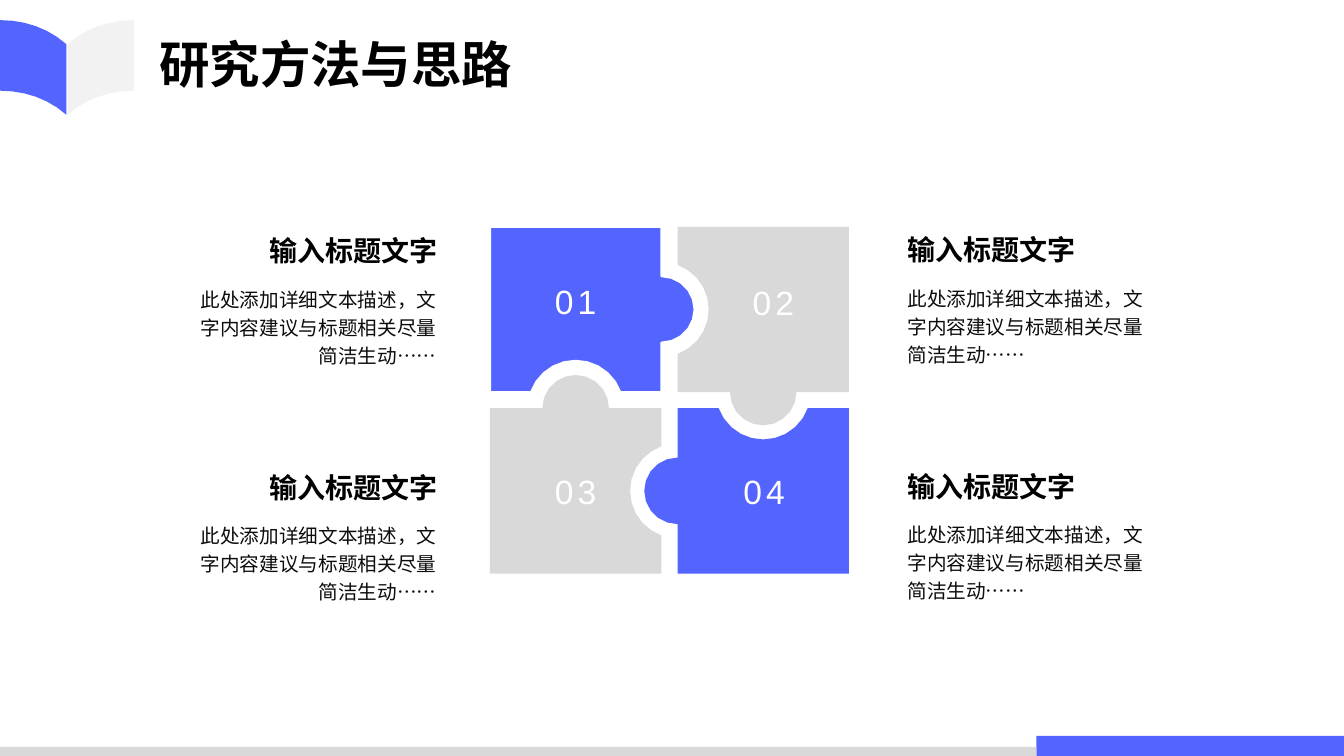
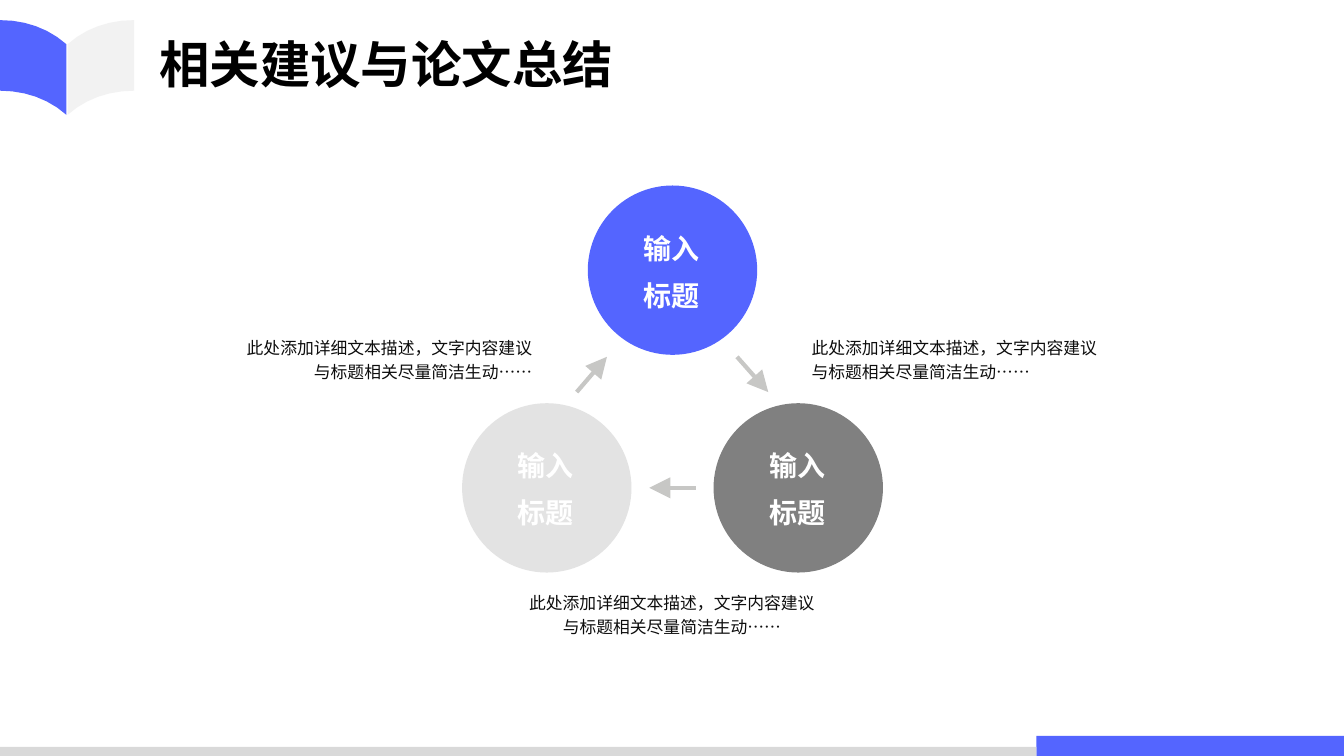
from math import acos, cos, radians, sin, pi

from lxml.etree import SubElement
from pptx import Presentation
from pptx.dml.color import RGBColor
from pptx.enum.shapes import MSO_CONNECTOR, MSO_SHAPE
from pptx.enum.text import MSO_ANCHOR, MSO_AUTO_SIZE, PP_ALIGN
from pptx.oxml.ns import qn
from pptx.util import Inches, Pt

WIDTH, HEIGHT = 13.33, 7.5
COLOURS = {
    "blue": "5465FF", "silver": "D9D9D9", "pale": "F2F2F2", "grey": "808080",
    "arrow": "C7C7C5", "black": "000000", "ink": "0D0D0D", "white": "FFFFFF",
}
LATIN, CHINESE = "Arial", "Noto Sans CJK SC"
LEFT, CENTER, RIGHT = PP_ALIGN.LEFT, PP_ALIGN.CENTER, PP_ALIGN.RIGHT

HEADING = "输入标题文字"
DESCRIPTION = "此处添加详细文本描述，文字内容建议与标题相关尽量简洁生动……"

# Puzzle: column, row, fill, tab side, socket side
PIECES = [
    (1, 0, "silver", "bottom", "left"),
    (1, 1, "blue", "left", "top"),
    (0, 1, "silver", "top", "right"),
    (0, 0, "blue", "right", "bottom"),
]
NUMBERS = [("01", 5.71, 2.99), ("02", 7.67, 3), ("03", 5.71, 4.87), ("04", 7.58, 4.87)]
PUZZLE_LEFT, PUZZLE_TOP = 4.86, 2.25
PIECE_WIDTH, PIECE_HEIGHT, PIECE_GAP = 1.7, 1.64, 0.16
TAB_RADIUS, SOCKET_RADIUS = 0.33, 0.47
SIDES = ["top", "right", "bottom", "left"]

# Notes beside the puzzle: heading left, description left, alignment, first top
NOTE_COLUMNS = [(1.94, 1.93, RIGHT, 2.19), (9, 9, LEFT, 2.18)]
NOTE_WIDTH, HEADING_STEP, DESCRIPTION_STEP = 2.4, 2.35, 2.34

# Cycle: fill, opacity in percent, angle on the ring
CYCLE_LABEL = "输入\n标题"
CYCLE = [("blue", 100, -90), ("grey", 100, 30), ("silver", 73, 150)]
RING_CENTER, RING_RADIUS, CIRCLE_RADIUS = (6.67, 4.12), 1.44, 0.84
ARROWS = [(5.72, 3.89, 6.02, 3.54), (7.31, 3.54, 7.62, 3.89), (6.9, 4.84, 6.44, 4.84)]
CAPTION_WIDTH = 3.2
CAPTIONS = [
    (WIDTH - 7.92 - CAPTION_WIDTH, 3.24, RIGHT),
    (7.92, 3.24, LEFT),
    ((WIDTH - CAPTION_WIDTH) / 2, 5.77, CENTER),
]


def rgb(name):
    return RGBColor.from_string(COLOURS[name])


def paint(shape, fill):
    shape.shadow.inherit = False
    shape.fill.solid()
    shape.fill.fore_color.rgb = rgb(fill)
    shape.line.fill.background()
    return shape


def style_text(frame, size, colour, align=LEFT, bold=False, spacing=1.0, latin=LATIN, tracking=0):
    for para in frame.paragraphs:
        para.alignment = align
        para.line_spacing = spacing
        for span in para.runs:
            span.font.size = Pt(size)
            span.font.bold = bold
            span.font.color.rgb = rgb(colour)
            span.font.name = latin
            properties = span.font.fill._xPr
            SubElement(properties, qn("a:ea")).set("typeface", CHINESE)
            if tracking:
                properties.set("spc", str(tracking * 100))


def set_margins(frame, across=0, down=0):
    frame.margin_left = frame.margin_right = Inches(across)
    frame.margin_top = frame.margin_bottom = Inches(down)


def add_text(page, text, at, anchor=MSO_ANCHOR.TOP, margins=(0, 0), **style):
    box = page.shapes.add_textbox(*map(Inches, at))
    frame = box.text_frame
    frame.word_wrap = True
    frame.vertical_anchor = anchor
    set_margins(frame, *margins)
    frame.text = text
    style_text(frame, **style)


def add_outline(page, points, fill):
    points = [(Inches(x), Inches(y)) for x, y in points]
    builder = page.shapes.build_freeform(*points[0])
    builder.add_line_segments(points[1:], close=True)
    return paint(builder.convert_to_shape(), fill)


def add_preset(page, kind, at, fill):
    return paint(page.shapes.add_shape(kind, *map(Inches, at)), fill)


def curve(a, b, c, d, steps=6):
    """Points along the cubic curve from a to d, steered by b and c."""
    shares = [i / steps for i in range(steps + 1)]
    return [
        tuple((1 - t) ** 3 * p + 3 * (1 - t) ** 2 * t * q + 3 * (1 - t) * t * t * r + t ** 3 * s
              for p, q, r, s in zip(a, b, c, d))
        for t in shares
    ]


def arc(x, y, radius, start, end, steps=10):
    angles = [start + (end - start) * i / steps for i in range(steps + 1)]
    return [(x + radius * cos(angle), y + radius * sin(angle)) for angle in angles]


def piece_outline(left, top, tab, socket):
    """Walk clockwise round a piece, with a tab on one side and a socket on another."""
    right, bottom = left + PIECE_WIDTH, top + PIECE_HEIGHT
    corners = [(left, top), (right, top), (right, bottom), (left, bottom)]
    points = []
    for index, side in enumerate(SIDES):
        (x1, y1), (x2, y2) = corners[index], corners[(index + 1) % 4]
        x, y = (x1 + x2) / 2, (y1 + y2) / 2
        outward = (index - 1) * pi / 2
        points.append((x1, y1))
        if side == tab:
            points += arc(x, y, TAB_RADIUS, outward - pi / 2, outward + pi / 2)
        elif side == socket:
            spread = acos(PIECE_GAP / SOCKET_RADIUS)
            inward = outward + pi
            points += arc(x + PIECE_GAP * cos(outward), y + PIECE_GAP * sin(outward),
                          SOCKET_RADIUS, inward + spread, inward - spread)
    return points


def prepare_layout(deck):
    """Leave only the title on the shared layout and set its place."""
    layout = deck.slide_layouts[5]
    for holder in list(layout.placeholders):
        if holder.placeholder_format.idx:
            holder.element.getparent().remove(holder.element)
    title = layout.placeholders[0]
    title.left, title.top, title.width, title.height = map(Inches, (1.58, 0.42, 4.71, 0.42))
    frame = title.text_frame
    frame.word_wrap = True
    frame.auto_size = MSO_AUTO_SIZE.NONE
    frame.vertical_anchor = MSO_ANCHOR.MIDDLE
    set_margins(frame, 0, 0.05)
    return layout


def move_to_layout(shapes, layout):
    for index, shape in enumerate(shapes):
        layout.shapes.element.insert(2 + index, shape.element)


def draw_shared_parts(page):
    upper = curve((0, 0.2), (0.25, 0.2), (0.48, 0.28), (0.66, 0.44))
    left_page = upper + [(x, y + 0.7) for x, y in reversed(upper)]
    right_page = [(1.33 - x, y) for x, y in left_page]
    split = 10.28
    return [
        add_outline(page, right_page, "pale"),
        add_outline(page, left_page, "blue"),
        add_preset(page, MSO_SHAPE.RECTANGLE, (split, HEIGHT - 0.2, WIDTH - split, 0.2), "blue"),
        add_preset(page, MSO_SHAPE.RECTANGLE, (0, HEIGHT - 0.09, split, 0.09), "silver"),
    ]


def add_page(deck, layout, title):
    page = deck.slides.add_slide(layout)
    frame = page.shapes.title.text_frame
    frame.text = title
    style_text(frame, 36, "black", bold=True, latin=CHINESE)
    return page


def draw_puzzle(page):
    for column, row, fill, tab, socket in PIECES:
        left = PUZZLE_LEFT + column * (PIECE_WIDTH + PIECE_GAP)
        top = PUZZLE_TOP + row * (PIECE_HEIGHT + PIECE_GAP)
        piece = add_outline(page, piece_outline(left, top, tab, socket), fill)
    piece.line.color.rgb = rgb("white")
    piece.line.width = Pt(1.5)
    for number, x, y in NUMBERS:
        add_text(page, number, (x - 0.5, y - 0.35, 1, 0.7), MSO_ANCHOR.MIDDLE,
                 size=24, colour="white", align=CENTER, tracking=3)


def draw_notes(page):
    for heading_left, description_left, align, top in NOTE_COLUMNS:
        for row in range(2):
            add_text(page, HEADING, (heading_left, top + row * HEADING_STEP, NOTE_WIDTH, 0.46),
                     MSO_ANCHOR.BOTTOM, size=20, colour="black", align=align, bold=True)
            add_text(page, DESCRIPTION,
                     (description_left, top + 0.62 + row * DESCRIPTION_STEP, NOTE_WIDTH, 0.89),
                     size=14, colour="ink", align=align, spacing=1.2)


def draw_cycle(page):
    centers = []
    for fill, opacity, angle in CYCLE:
        x = RING_CENTER[0] + RING_RADIUS * cos(radians(angle))
        y = RING_CENTER[1] + RING_RADIUS * sin(radians(angle))
        centers.append((x, y))
        size = 2 * CIRCLE_RADIUS
        circle = add_preset(page, MSO_SHAPE.OVAL,
                            (x - CIRCLE_RADIUS, y - CIRCLE_RADIUS, size, size), fill)
        if opacity < 100:
            colour = circle.element.spPr.find(qn("a:solidFill"))[0]
            SubElement(colour, qn("a:alpha")).set("val", str(opacity * 1000))
    for ends in ARROWS:
        arrow = page.shapes.add_connector(MSO_CONNECTOR.STRAIGHT, *map(Inches, ends))
        arrow.line.color.rgb = rgb("arrow")
        arrow.line.width = Pt(3)
        head = SubElement(arrow.line._get_or_add_ln(), qn("a:tailEnd"))
        for name, value in (("type", "triangle"), ("w", "lg"), ("len", "lg")):
            head.set(name, value)
        SubElement(arrow.element.spPr, qn("a:effectLst"))
    for x, y in centers:
        add_text(page, CYCLE_LABEL, (x - 1, y - 0.54, 1.98, 1.1), margins=(0.05, 0.02),
                 size=20, colour="white", align=CENTER, bold=True, spacing=1.4)
    for left, top, align in CAPTIONS:
        add_text(page, DESCRIPTION, (left, top, CAPTION_WIDTH, 0.64), margins=(0.13, 0.07),
                 size=12, colour="ink", align=align, spacing=1.2)


def main():
    deck = Presentation()
    deck.slide_width, deck.slide_height = Inches(WIDTH), Inches(HEIGHT)
    layout = prepare_layout(deck)
    methods = add_page(deck, layout, "研究方法与思路")
    move_to_layout(draw_shared_parts(methods), layout)
    draw_puzzle(methods)
    draw_notes(methods)
    draw_cycle(add_page(deck, layout, "相关建议与论文总结"))
    deck.save("out.pptx")


if __name__ == "__main__":
    main()
